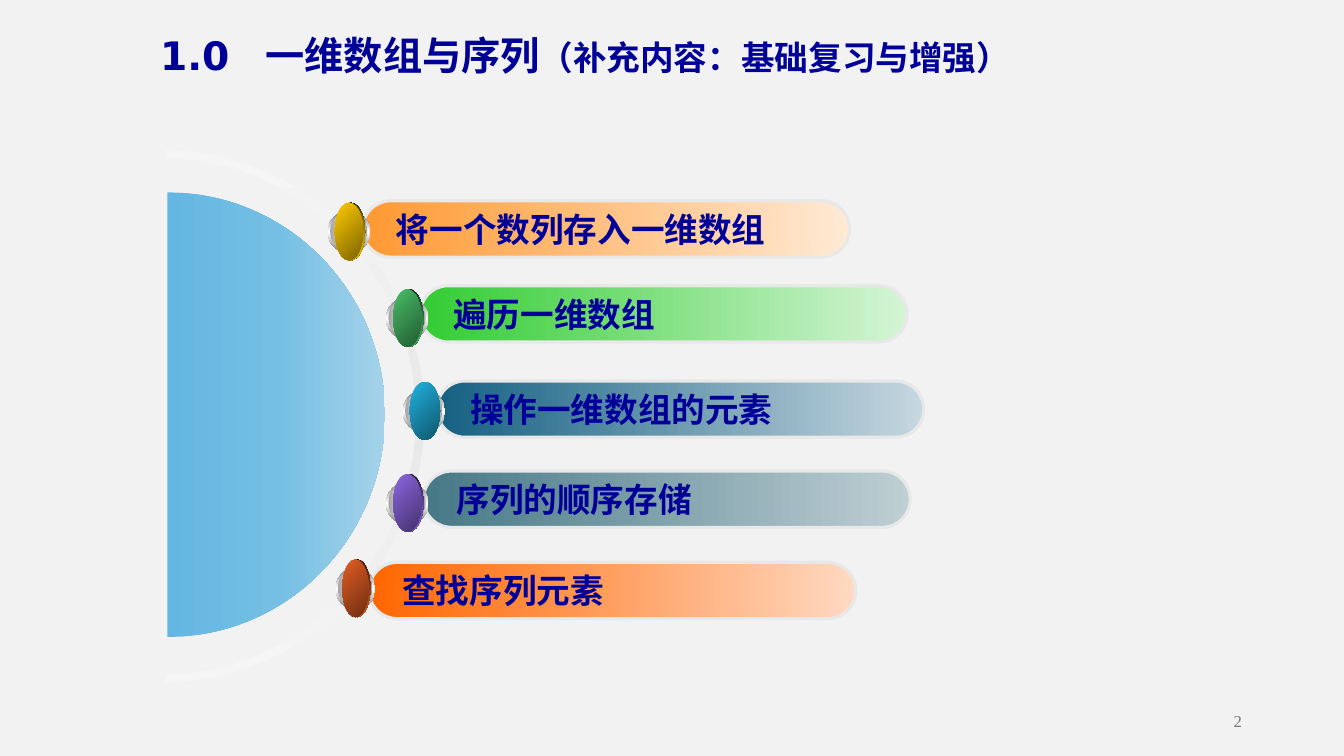
"""Build the agenda slide on one-dimensional arrays and sequences."""
from copy import deepcopy

from lxml import etree
from pptx import Presentation
from pptx.dml.color import RGBColor
from pptx.enum.shapes import MSO_SHAPE
from pptx.enum.text import MSO_ANCHOR, PP_ALIGN
from pptx.oxml.ns import qn
from pptx.util import Cm, Pt

ELLIPSE, BAR = MSO_SHAPE.OVAL, MSO_SHAPE.ROUNDED_RECTANGLE
MIDDLE, LEFT, RIGHT = MSO_ANCHOR.MIDDLE, PP_ALIGN.LEFT, PP_ALIGN.RIGHT
color = RGBColor.from_string
NAVY = color("000099")


def paint(shape, stops, angle):
    """Fill a shape with evenly spaced gradient stops, angle clockwise."""
    shape.shadow.inherit = False
    shape.line.fill.background()
    shape.fill.gradient()
    shape.fill.gradient_angle = -angle % 360
    stop_list = shape._element.spPr.find(".//" + qn("a:gsLst"))
    while len(stop_list) < len(stops):
        stop_list.append(deepcopy(stop_list[0]))
    for index, stop in enumerate(shape.fill.gradient_stops):
        stop.color.rgb = color(stops[index])
        stop.position = index / (len(stops) - 1)


def bend(shape, curve_starts):
    """Turn each run of three line segments into one Bezier curve."""
    lines = list(shape._element.iter(qn("a:lnTo")))
    for start in curve_starts:
        curve = etree.Element(qn("a:cubicBezTo"))
        lines[start].addprevious(curve)
        for line in lines[start:start + 3]:
            curve.append(line[0])
            line.getparent().remove(line)


deck = Presentation()
deck.slide_width, deck.slide_height = Cm(33.87), Cm(19.05)
page = deck.slides.add_slide(deck.slide_layouts[5])
page.background.fill.solid()
page.background.fill.fore_color.rgb = color("F2F2F2")

ring = [
    (4.17, 3.99), (7.67, 4.04), (10.49, 6.94), (10.49, 10.49),
    (10.49, 14.04), (7.67, 16.94), (4.17, 16.99),
    (4.17, 17.2), (7.8, 17.12), (10.69, 14.15), (10.69, 10.49),
    (10.69, 6.83), (7.8, 3.84), (4.17, 3.78),
]
half_disc = [
    (4.22, 4.85), (7.24, 4.85), (9.7, 7.35), (9.7, 10.45),
    (9.7, 13.55), (7.24, 16.05), (4.22, 16.05),
]
outlines = [
    (ring, (0, 3, 7, 10), ["F5F5F5", "E8E8E8", "F5F5F5"], 90),
    (half_disc, (0, 3), ["64B7E3", "74BFE3", "A5D2EA"], 0),
]
for points, curve_starts, stops, angle in outlines:
    corners = [(Cm(across), Cm(down)) for across, down in points]
    builder = page.shapes.build_freeform(*corners[0], scale=1.0)
    builder.add_line_segments(corners[1:], close=True)
    outline = builder.convert_to_shape()
    bend(outline, curve_starts)
    paint(outline, stops, angle)

topics = [
    ("查找序列元素", 9.3, 14.17, ["FF6600", "FFD9C1"]),
    ("序列的顺序存储", 10.67, 11.87, ["467886", "BFCFD4"]),
    ("操作一维数组的元素", 11.01, 9.6, ["156082", "C6D7E0"]),
    ("遍历一维数组", 10.59, 7.2, ["33CC33", "D4F5D4"]),
    ("将一个数列存入一维数组", 9.14, 5.06, ["FF9933", "FFEAD5"]),
]
for topic, left, top, stops in topics:
    bar = page.shapes.add_shape(BAR, Cm(left), Cm(top), Cm(12.27), Cm(1.42))
    bar.adjustments[0] = 0.5
    paint(bar, stops, 0)
    bar.line.color.rgb = color("E8E8E8")
    bar.line.width = Pt(2.25)
    frame = bar.text_frame
    frame.word_wrap = True
    frame.vertical_anchor = MIDDLE
    frame.margin_left = Cm(0.63)
    para = frame.paragraphs[0]
    para.alignment = LEFT
    span = para.add_run()
    span.text = topic
    for name, value in {"name": "Arial", "size": Pt(24), "bold": True}.items():
        setattr(span.font, name, value)
    span.font.color.rgb = NAVY

beads = [
    (8.26, 5.31, 1, ["000000", "FFCC00"], ["FFCC00", "7C6300"]),
    (9.73, 7.49, 1, ["000000", "48BE67"], ["48BE67", "235C32"]),
    (10.15, 9.83, 1, ["21B3E1", "0F5368"], ["21B3E1", "10576D"]),
    (9.73, 12.15, 1, ["000000", "8D67E1"], ["8D67E1", "45326D"]),
    (8.46, 14.3, 0.93, ["000000", "E35E23"], ["E35E23", "6E2E11"]),
]
for left, top, squeeze, rim, face in beads:
    layers = [
        (0, 0, 1.07, 1.07, ["767676", "FFFFFF", "767676"], 90),
        (0.06, 0.05, 0.94, 0.94, ["A2A2A2", "FFFFFF", "A2A2A2"], 0),
        (0.23, -0.2, 0.71, 1.45, rim, 45),
        (0.18, -0.2, 0.71, 1.45, face, 45),
    ]
    bead = page.shapes.add_group_shape()
    for across, down, width, height, stops, angle in layers:
        layer = bead.shapes.add_shape(
            ELLIPSE, Cm(left + across * squeeze), Cm(top + down),
            Cm(width * squeeze), Cm(height))
        paint(layer, stops, angle)

title = page.shapes.title
number = page.shapes.add_textbox(Cm(23.93), Cm(17.65), Cm(7.62), Cm(1.02))
texts = [
    (title, (3.78, 0.59, 22.2, 1.57), LEFT, "DejaVu Sans", True, NAVY,
     [("1.0\t一维数组与序列", 28), ("（补充内容：基础复习与增强）", 24)]),
    (number, (23.93, 17.65, 7.62, 1.02), RIGHT, "Times New Roman", False,
     color("797979"), [("2", 12)]),
]
for box, place, alignment, font_name, bold, ink, spans in texts:
    box.left, box.top, box.width, box.height = map(Cm, place)
    frame = box.text_frame
    frame.word_wrap = True
    frame.vertical_anchor = MIDDLE
    para = frame.paragraphs[0]
    para.alignment = alignment
    if box is title:
        tabs = etree.SubElement(para._p.get_or_add_pPr(), qn("a:tabLst"))
        etree.SubElement(tabs, qn("a:tab"), pos=str(Cm(2.66)), algn="l")
    for words, size in spans:
        span = para.add_run()
        span.text = words
        formats = {"name": font_name, "size": Pt(size), "bold": bold}
        for name, value in formats.items():
            setattr(span.font, name, value)
        span.font.color.rgb = ink

deck.save("out.pptx")
